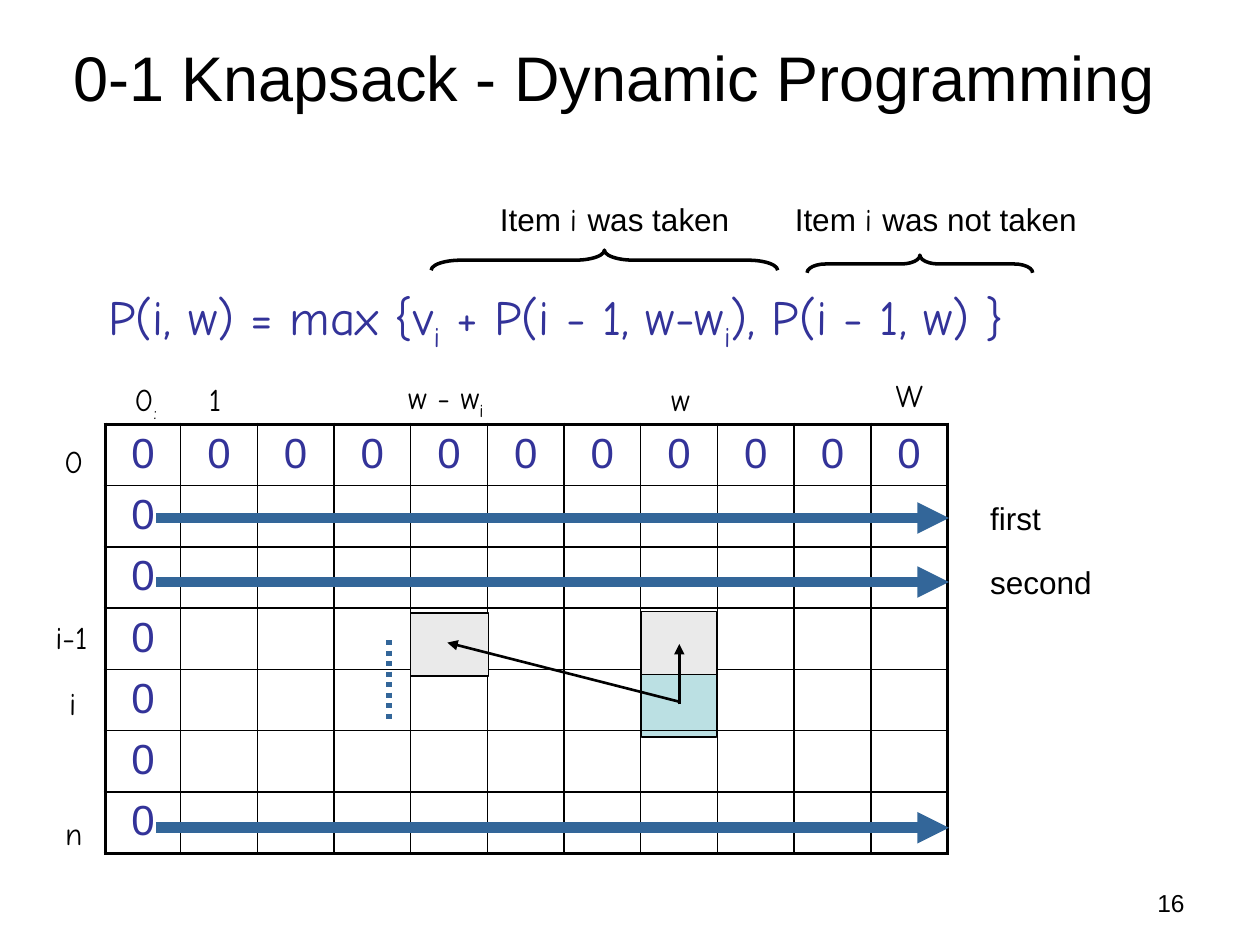
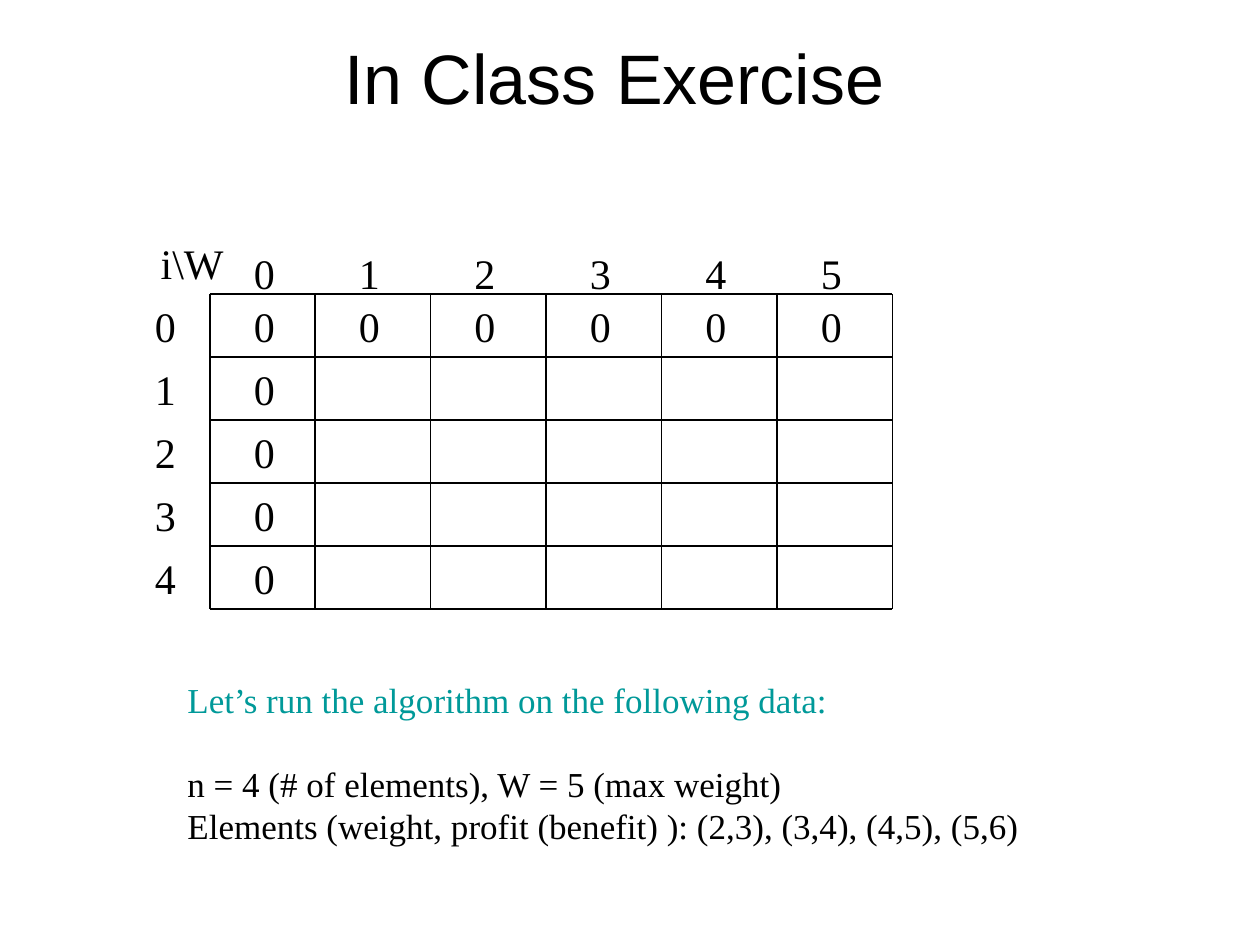
"""Build two slides on the 0-1 knapsack table: the recurrence and a class exercise."""
from itertools import accumulate

from lxml.etree import SubElement as Sub
from pptx import Presentation
from pptx.dml.color import RGBColor as Rgb
from pptx.enum.dml import MSO_LINE as Dash
from pptx.enum.shapes import MSO_CONNECTOR as Conn, MSO_SHAPE as Kind
from pptx.enum.text import MSO_ANCHOR as Anchor, MSO_AUTO_SIZE as Fit, PP_ALIGN as Align
from pptx.oxml.ns import qn
from pptx.util import Pt

HUES = {"ink": "000000", "navy": "333399", "steel": "336699",
        "teal": "009999", "aqua": "BBE0E3", "gray": "EAEAEA"}
SANS, COMIC, SERIF = "Arial", "Comic Neue", "Times New Roman"
SUB = "sub"

TITLES = [("0-1 Knapsack - Dynamic Programming", 36), ("In Class Exercise", 40)]
RULE = ["P(i, w) = max {v", ("i", SUB), " + P(i - 1, w-w", ("i", SUB),
        "), P(i - 1, w) }"]
MARKS = [
    (["0", (":", SUB)], 69.8, 213.8, 28.8),
    (["1"], 112.3, 213.8, 22.3),
    (["w - w", ("i", SUB)], 226.1, 212.4, 61.2),
    (["w"], 376.4, 213.8, 26.6),
    (["W"], 504.7, 211.4, 33.1),
    (["0"], 29.5, 249.1, 25.2),
    (["i-1"], 24.5, 349.4, 35.3),
    (["i"], 32.4, 387.4, 19.4),
    (["n"], 30.2, 461.5, 23.8),
]
NOTES = [
    (["Item ", ("i ", COMIC), "was taken"], 278.6, 110.5, 146.2),
    (["Item ", ("i ", COMIC), "was not taken"], 447.1, 110.5, 175.7),
    (["first"], 558.7, 281.5, 43.2),
    (["second"], 558.7, 318.2, 72.7),
]
BRACES = [(339.6, 49.7, 11.5, 198, 1.47), (520.6, 86.4, 10.1, 128.9, 1.06)]
TARGET = (366.4, 385.2, 43.2, 36)
SOURCES = [(366.4, 349.4, 43.2, 36), (234.4, 350.3, 44.6, 36)]
LINKS = [(388.2, 402.5, 388.2, 368), (388.2, 401, 255.6, 367.2)]
PASSES = [296, 332.6, 473]
TASK = [("Let’s run the algorithm on the following data:", "teal", 0),
        ("n = 4 (# of elements), W = 5 (max weight)", "ink", 24),
        ("Elements (weight, profit (benefit) ): (2,3), (3,4), (4,5), (5,6)", "ink", 0)]


def rgb(hue):
    return Rgb.from_string(HUES[hue])


def style(font, face, size, hue="ink"):
    font.name, font.size, font.color.rgb = face, Pt(size), rgb(hue)


def write(par, parts, face, size, hue="ink"):
    style(par.font, face, size, hue)
    for part in parts:
        text, mode = (part, None) if isinstance(part, str) else part
        run = par.add_run()
        run.text = text
        if mode == SUB:
            run._r.get_or_add_rPr().set("baseline", "-25000")
        elif mode:
            run.font.name = mode


def place(shape, *box):
    shape.left, shape.top, shape.width, shape.height = map(Pt, box)


def label(slide, parts, box, face, size, align=None, wrap=False):
    frame = slide.shapes.add_textbox(*map(Pt, box)).text_frame
    frame.word_wrap = wrap
    frame.auto_size = Fit.SHAPE_TO_FIT_TEXT
    par = frame.paragraphs[0]
    par.alignment = align
    write(par, parts, face, size)
    return frame


def start(deck, layout, title, size):
    slide = deck.slides.add_slide(deck.slide_layouts[layout])
    head = slide.shapes.title
    place(head, 27, 8, 648, 71)
    frame = head.text_frame
    frame.auto_size, frame.vertical_anchor = Fit.NONE, Anchor.MIDDLE
    par = frame.paragraphs[0]
    par.alignment = Align.CENTER
    write(par, [title], SANS, size)
    return slide


def shape(slide, kind, box, width, fill=None):
    item = slide.shapes.add_shape(kind, *map(Pt, box))
    item.shadow.inherit = False
    item.line.color.rgb, item.line.width = rgb("ink"), Pt(width)
    if fill:
        item.fill.solid()
        item.fill.fore_color.rgb = rgb(fill)
    else:
        item.fill.background()
    return item


def line(slide, ends, hue, width, dash=None, head=False):
    item = slide.shapes.add_connector(Conn.STRAIGHT, *map(Pt, ends))
    item.line.color.rgb, item.line.width = rgb(hue), Pt(width)
    if dash:
        item.line.dash_style = dash
    if head:
        Sub(item.get_or_add_ln(), qn("a:tailEnd"), type="triangle")
    Sub(item.element.spPr, qn("a:effectLst"))


def edge(cell, side, width):
    ln = Sub(cell._tc.get_or_add_tcPr(), qn("a:ln" + side), w=str(Pt(width)))
    Sub(Sub(ln, qn("a:solidFill")), qn("a:srgbClr"), val=HUES["ink"])


def grid(slide, left, top, cols, rows, high):
    box = map(Pt, (left, top, sum(cols), rows * high))
    table = slide.shapes.add_table(rows, len(cols), *box).table
    table.first_row = table.horz_banding = False
    for col, width in zip(table.columns, cols):
        col.width = Pt(width)
    for r, row in enumerate(table.rows):
        row.height = Pt(high)
        for c, cell in enumerate(row.cells):
            rims = {"L": c == 0, "R": c == len(cols) - 1, "T": r == 0, "B": r == rows - 1}
            for side, rim in rims.items():
                edge(cell, side, 2.25 if rim else 1)
            cell.fill.background()
            cell.margin_top, cell.margin_bottom = Pt(3.4), Pt(0)
            if r == 0 or c == 0:
                par = cell.text_frame.paragraphs[0]
                par.alignment = Align.CENTER
                write(par, ["0"], SANS, 24, "navy")


def recur(deck):
    slide = start(deck, 1, *TITLES[0])
    label(slide, ["16"], (516.2, 504, 167.8, 25.2), SANS, 14, Align.RIGHT, True)
    shape(slide, Kind.RECTANGLE, TARGET, 0.75, "aqua")
    grid(slide, 60.2, 242.5, [43] + [43.85] * 10, 7, 35.03)

    body = slide.placeholders[1]
    place(body, 27.7, 160.2, 648, 56.9)
    body.text_frame.auto_size = Fit.NONE
    par = body.text_frame.paragraphs[0]
    props = par._p.get_or_add_pPr()
    props.set("marL", str(Pt(27)))
    props.set("indent", "0")
    par.space_before = Pt(0)
    Sub(props, qn("a:buNone"))
    write(par, RULE, COMIC, 28, "navy")

    for face, group in ((COMIC, MARKS), (SANS, NOTES)):
        for parts, x, y, wide in group:
            label(slide, parts, (x, y, wide, 28.8), face, 18)
    for *box, bend in BRACES:
        brace = shape(slide, Kind.LEFT_BRACE, box, 2)
        brace.rotation = 90
        brace.adjustments[0], brace.adjustments[1] = bend, 0.5
    for box, ends in zip(SOURCES, LINKS):
        shape(slide, Kind.RECTANGLE, box, 0.75, "gray")
        line(slide, ends, "ink", 1.5, head=True)
    for y in PASSES:
        line(slide, (89.3, y, 542.2, y), "steel", 6, head=True)
    line(slide, (222.3, 365.8, 222.3, 413.3), "steel", 3, Dash.ROUND_DOT)


def drill(deck):
    slide = start(deck, 5, *TITLES[1])
    top, high, rows = 168, 36, 5
    xs = list(accumulate([60] + [66] * 5, initial=120))
    ys = [top + n * high for n in range(rows + 1)]
    for x in xs:
        line(slide, (x, ys[0], x, ys[-1]), "ink", 0.75)
    for y in ys:
        line(slide, (xs[0], y, xs[-1], y), "ink", 0.75)

    heads = [(n, x + 18, top - 30) for n, x in enumerate(xs[:-1])]
    sides = [(n, 81.4, y) for n, y in enumerate(ys[:-1])]
    zeros = [(0, x + 18, top) for x in xs[:-1]] + [(0, xs[0] + 18, y) for y in ys[1:-1]]
    for digit, x, y in heads + sides + zeros:
        label(slide, [str(digit)], (x, y, 26.6, high), SERIF, 24)
    label(slide, ["i\\W"], (82.8, 132, 54, high), SERIF, 24, Align.CENTER, True)

    (first, hue, _), *rest = TASK
    frame = label(slide, [first], (100, 384, 545.8, 104.4), SERIF, 20, wrap=True)
    frame.paragraphs[0].font.color.rgb = rgb(hue)
    for text, hue, gap in rest:
        par = frame.add_paragraph()
        par.space_before = Pt(gap)
        write(par, [text], SERIF, 20, hue)


def main():
    deck = Presentation()
    deck.slide_width, deck.slide_height = Pt(720), Pt(540)
    recur(deck)
    drill(deck)
    deck.save("out.pptx")


if __name__ == "__main__":
    main()
